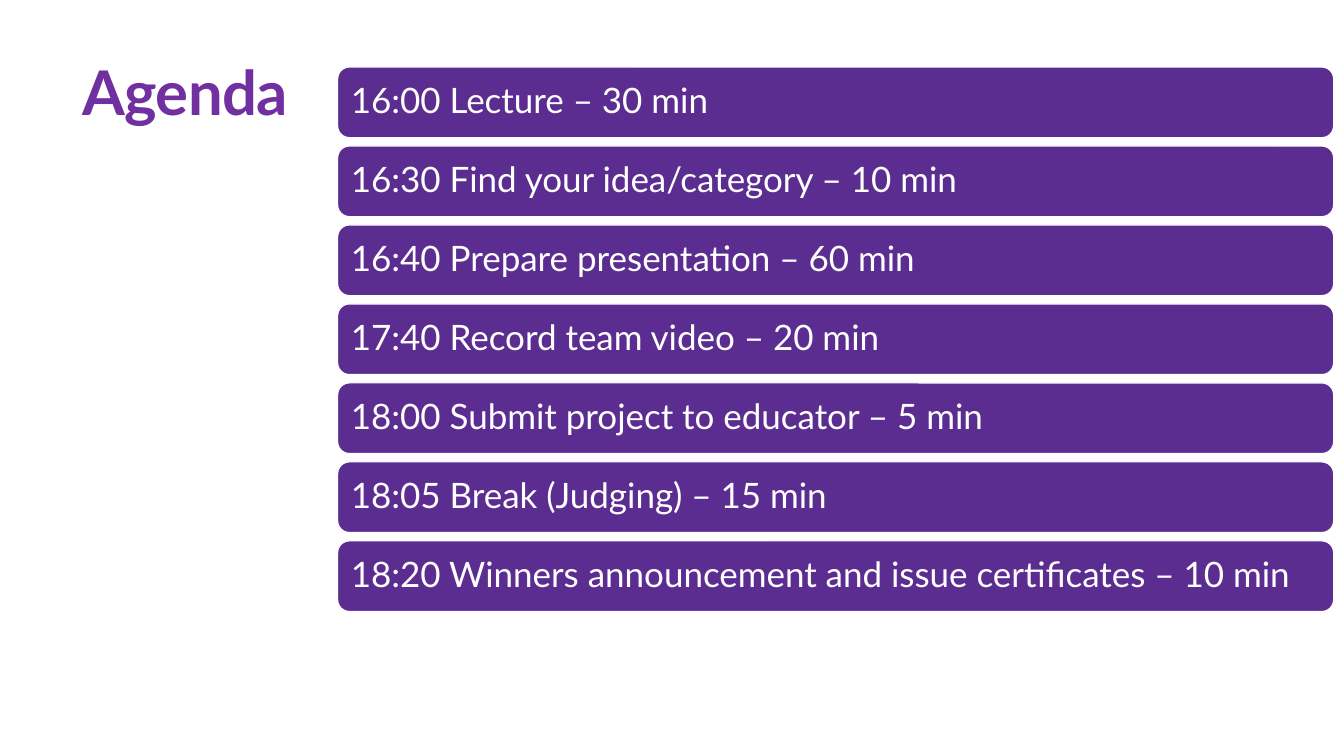
from pptx import Presentation
from pptx.dml.color import RGBColor
from pptx.enum.shapes import MSO_SHAPE
from pptx.enum.text import MSO_ANCHOR, MSO_AUTO_SIZE, PP_ALIGN
from pptx.util import Cm, Pt

ROUNDED = MSO_SHAPE.ROUNDED_RECTANGLE
MIDDLE = MSO_ANCHOR.MIDDLE
LEFT = PP_ALIGN.LEFT
NO_AUTOFIT = MSO_AUTO_SIZE.NONE

TITLE_PURPLE = RGBColor(0x70, 0x30, 0xA0)
BAR_PURPLE = RGBColor(0x5C, 0x2D, 0x91)
WHITE = RGBColor(0xFF, 0xFF, 0xFF)
FONT = "Lato"

TITLE_ONLY = 5
BAR_LEFT, BAR_TOP = 8.51, 1.69
BAR_WIDTH, BAR_HEIGHT = 25.1, 1.78
BAR_PITCH = 1.99

AGENDA = [
    "16:00 Lecture – 30 min",
    "16:30 Find your idea/category – 10 min",
    "16:40 Prepare presentation – 60 min",
    "17:40 Record team video – 20 min",
    "18:00 Submit project to educator – 5 min",
    "18:05 Break (Judging) – 15 min",
    "18:20 Winners announcement and issue certificates – 10 min",
]


def write_text(shape, text, size, color, bold=False):
    """Put one left-aligned, vertically centred line in a shape."""
    frame = shape.text_frame
    frame.word_wrap = True
    frame.auto_size = NO_AUTOFIT
    frame.vertical_anchor = MIDDLE
    frame.margin_left = frame.margin_right = Cm(0.25)
    paragraph = frame.paragraphs[0]
    paragraph.alignment = LEFT
    paragraph.line_spacing = 0.9
    run = paragraph.add_run()
    run.text = text
    run.font.name = FONT
    run.font.size = Pt(size)
    run.font.bold = bold
    run.font.color.rgb = color
    return run


def add_title(slide, text):
    title = slide.shapes.title
    title.left, title.top = Cm(1.83), Cm(0.05)
    title.width, title.height = Cm(14.22), Cm(4.7)
    run = write_text(title, text, 44, TITLE_PURPLE, bold=True)
    # Tighten the letter spacing by half a point
    run.font._element.set("spc", "-50")


def add_agenda_bar(slide, index, text):
    bar = slide.shapes.add_shape(
        ROUNDED, Cm(BAR_LEFT), Cm(BAR_TOP + index * BAR_PITCH),
        Cm(BAR_WIDTH), Cm(BAR_HEIGHT))
    bar.shadow.inherit = False
    bar.fill.solid()
    bar.fill.fore_color.rgb = BAR_PURPLE
    bar.line.color.rgb = WHITE
    bar.line.width = Pt(0.85)
    write_text(bar, text, 25, WHITE)


def main():
    presentation = Presentation()
    presentation.slide_width = Cm(33.87)
    presentation.slide_height = Cm(19.05)
    slide = presentation.slides.add_slide(
        presentation.slide_layouts[TITLE_ONLY])

    # Heading
    add_title(slide, "Agenda")

    # Evenly stacked schedule
    for index, text in enumerate(AGENDA):
        add_agenda_bar(slide, index, text)

    presentation.save("out.pptx")


if __name__ == "__main__":
    main()
